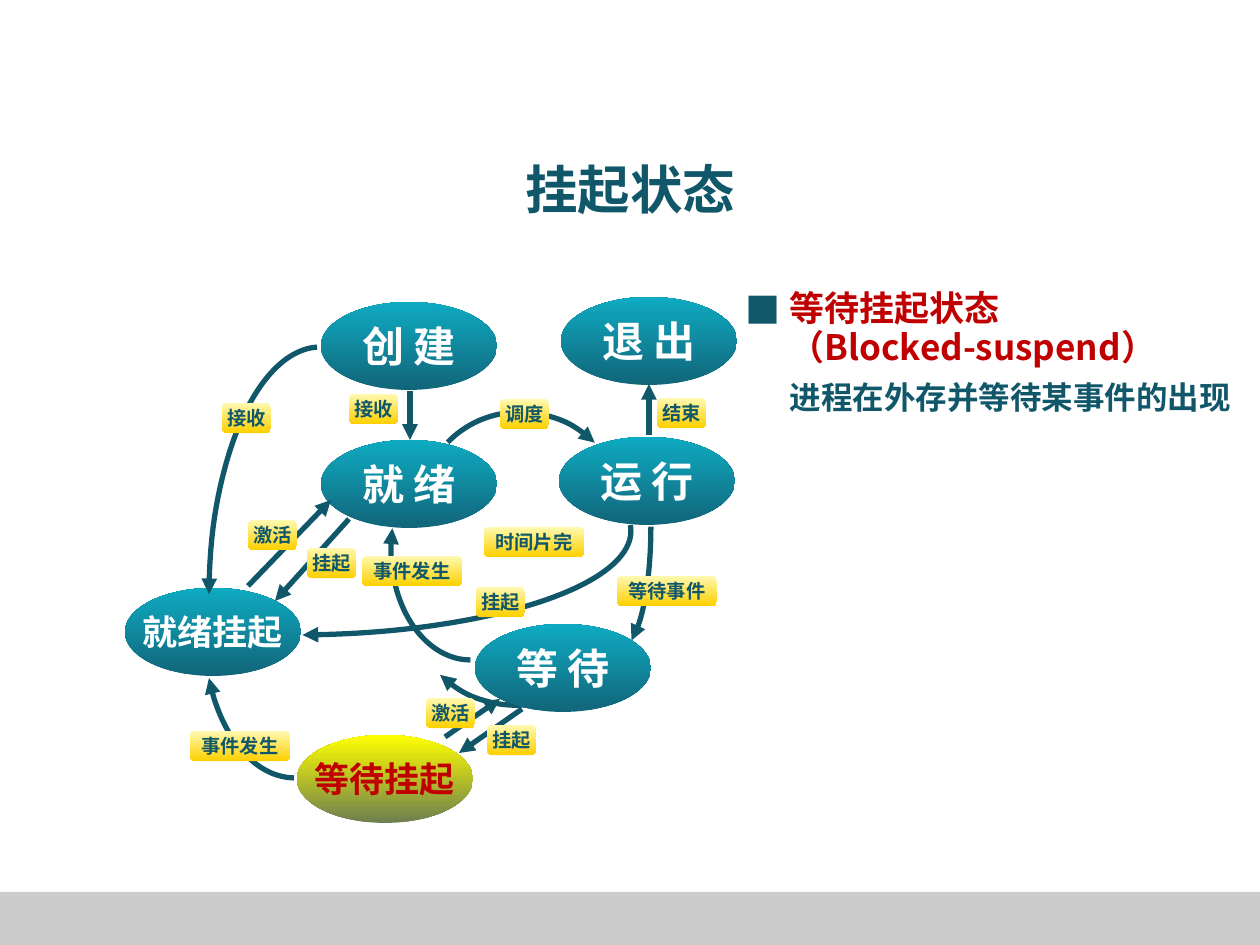
from lxml import etree
from pptx import Presentation
from pptx import util as u
from pptx.dml.color import RGBColor
from pptx.enum import shapes, text
from pptx.oxml.ns import qn

PX = 914400 // 126
FONT = "Noto Sans CJK SC"
HEX = {"teal": "11576A", "red": "C00000", "white": "FFFFFF", "gray": "CCCCCC"}
# Gradient stops run from the start of the given angle.
POOL = (270, [(0, "116579"), (77, "0F9BB1"), (100, "0EABC2")])
LIME = (270, [(0, "6E7F4F"), (100, "FFFF00")])
GOLD = (90, [(0, "FFF9B1"), (100, "FDD000")])

# name, left, top, text size, text colour, gradient
NODES = [
    ("创 建", 321, 302, 24, "white", POOL),
    ("就 绪", 321, 440, 24, "white", POOL),
    ("运 行", 559, 437, 24, "white", POOL),
    ("等 待", 475, 624, 24, "white", POOL),
    ("退 出", 561, 297, 24, "white", POOL),
    ("就绪挂起", 125, 588, 20, "white", POOL),
    ("等待挂起", 297, 735, 20, "red", LIME),
]
# box, start and end angle, arrow end, rotation, flips
BACK = [
    ((588, 403, 63, 247), 0.13, 83.9, "tailEnd", 0, ""),
    ((407, 490, 210, 217), 267.6, 359.3, "tailEnd", 134, ""),
]
FRONT = [
    ((422, 410, 204, 212), 270, 0, "tailEnd", 314, ""),
    ((-48, 427, 679, 208), 359, 83.9, "tailEnd", 0, ""),
    ((391, 438, 159, 222), 345.2, 90, "headEnd", 0, "H"),
    ((205, 494, 180, 284), 26.1, 89.6, "headEnd", 0, "H"),
    ((209, 347, 223, 498), 0.9, 89.2, "headEnd", 0, "HV"),
]
LINES = [
    (410, 391, 410, 440),
    (649, 435, 649, 384),
    (522, 709, 459, 753),
    (445, 737, 500, 699),
    (248, 586, 331, 500),
    (349, 519, 275, 601),
]
TAGS = [
    ("挂起", 476, 587), ("接收", 222, 403), ("事件发生", 190, 731),
    ("接收", 349, 394), ("激活", 248, 520), ("挂起", 307, 548),
    ("事件发生", 362, 556), ("激活", 426, 698), ("挂起", 487, 725),
    ("等待事件", 617, 576), ("时间片完", 484, 527), ("调度", 500, 399),
    ("结束", 657, 398),
]


def px(*vals):
    return [v * PX for v in vals]


def rgb(name):
    return RGBColor.from_string(HEX[name])


def sub(node, tag, **attrs):
    return etree.SubElement(node, qn(tag), {k: str(v) for k, v in attrs.items()})


def add_run(para, words, size, color):
    run = para.add_run()
    run.text = words
    font = run.font
    font.size, font.bold, font.name = u.Pt(size), True, FONT
    font.color.rgb = rgb(color)
    sub(run._r.get_or_add_rPr(), "a:ea", typeface=FONT)


def shade(shape, grad):
    """Fill with a linear gradient of any number of stops."""
    angle, stops = grad
    shape.fill.gradient()
    fill = shape._element.spPr.find(qn("a:gradFill"))
    for child in list(fill):
        fill.remove(child)
    group = sub(fill, "a:gsLst")
    for pos, color in stops:
        sub(sub(group, "a:gs", pos=pos * 1000), "a:srgbClr", val=color)
    sub(fill, "a:lin", ang=angle * 60000, scaled=0)


def add_block(slide, kind, box, grad, words, size, color):
    shape = slide.shapes.add_shape(kind, *px(*box))
    shape.shadow.inherit = False
    shape.line.fill.background()
    shade(shape, grad)
    frame = shape.text_frame
    frame.word_wrap = False
    frame.vertical_anchor = text.MSO_ANCHOR.MIDDLE
    frame.margin_left = frame.margin_right = 0
    frame.margin_top = frame.margin_bottom = 0
    para = frame.paragraphs[0]
    para.alignment = text.PP_ALIGN.CENTER
    add_run(para, words, size, color)


def ink(shape, end):
    """Draw the outline as a thick stroke with an arrow at one end."""
    shape.line.color.rgb = rgb("teal")
    shape.line.width = u.Pt(3)
    sub(shape.line._get_or_add_ln(), "a:" + end, type="triangle")


def add_arc(slide, box, start, stop, end, turn, flips):
    arc = slide.shapes.add_shape(shapes.MSO_SHAPE.ARC, *px(*box))
    arc.fill.background()
    for i, angle in enumerate((start, stop)):
        arc.adjustments[i] = angle * 0.6
    arc.rotation = turn
    for axis in flips:
        arc._element.spPr.xfrm.set("flip" + axis, "1")
    ink(arc, end)
    arc.shadow.inherit = False


def add_line(slide, ends):
    line = slide.shapes.add_connector(shapes.MSO_CONNECTOR.STRAIGHT, *px(*ends))
    ink(line, "tailEnd")
    sub(line._element.spPr, "a:effectLst")


def place(shape, box):
    shape.left, shape.top, shape.width, shape.height = px(*box)
    shape.text_frame.auto_size = text.MSO_AUTO_SIZE.NONE
    return shape.text_frame


def add_title(slide):
    frame = place(slide.shapes.title, (95, 131, 1071, 116))
    frame.vertical_anchor = text.MSO_ANCHOR.MIDDLE
    para = frame.paragraphs[0]
    para.alignment = text.PP_ALIGN.CENTER
    add_run(para, "挂起状态", 30, "teal")


def add_body(slide):
    frame = place(slide.placeholders[1], (733, 291, 527, 150))
    rows = [
        ("等待挂起状态", 20, "red", 4),
        ("（Blocked-suspend）", 20, "red", 4),
        ("进程在外存并等待某事件的出现", 18, "teal", 10),
    ]
    for i, (words, size, color, gap) in enumerate(rows):
        para = frame.add_paragraph() if i else frame.paragraphs[0]
        para.line_spacing, para.space_before = u.Pt(18), u.Pt(gap)
        props = para._p.get_or_add_pPr()
        props.set("marL", str(44 * PX))
        props.set("indent", str(0 if i else -44 * PX))
        if i:
            sub(props, "a:buNone")
        else:
            sub(sub(props, "a:buClr"), "a:srgbClr", val=HEX["teal"])
            sub(props, "a:buFont", typeface="Noto Sans CJK JP")
            sub(props, "a:buChar", char="■")
        add_run(para, words, size, color)


def add_strip(slide):
    strip = slide.shapes.add_shape(shapes.MSO_SHAPE.RECTANGLE, *px(0, 892, 1260, 53))
    strip.shadow.inherit = False
    strip.fill.solid()
    strip.fill.fore_color.rgb = rgb("gray")
    strip.line.fill.background()


def main():
    deck = Presentation()
    deck.slide_width, deck.slide_height = px(1260, 945)
    slide = deck.slides.add_slide(deck.slide_layouts[1])
    add_strip(slide)
    add_title(slide)
    add_body(slide)
    for arc in BACK:
        add_arc(slide, *arc)
    for name, x, y, size, color, grad in NODES:
        add_block(slide, shapes.MSO_SHAPE.OVAL, (x, y, 176, 88), grad, name, size, color)
    for ends in LINES:
        add_line(slide, ends)
    for arc in FRONT:
        add_arc(slide, *arc)
    for name, x, y in TAGS:
        box = (x, y, 49 if len(name) == 2 else 100, 30)
        add_block(slide, shapes.MSO_SHAPE.ROUNDED_RECTANGLE, box, GOLD, name, 11, "teal")
    deck.save("out.pptx")


if __name__ == "__main__":
    main()
